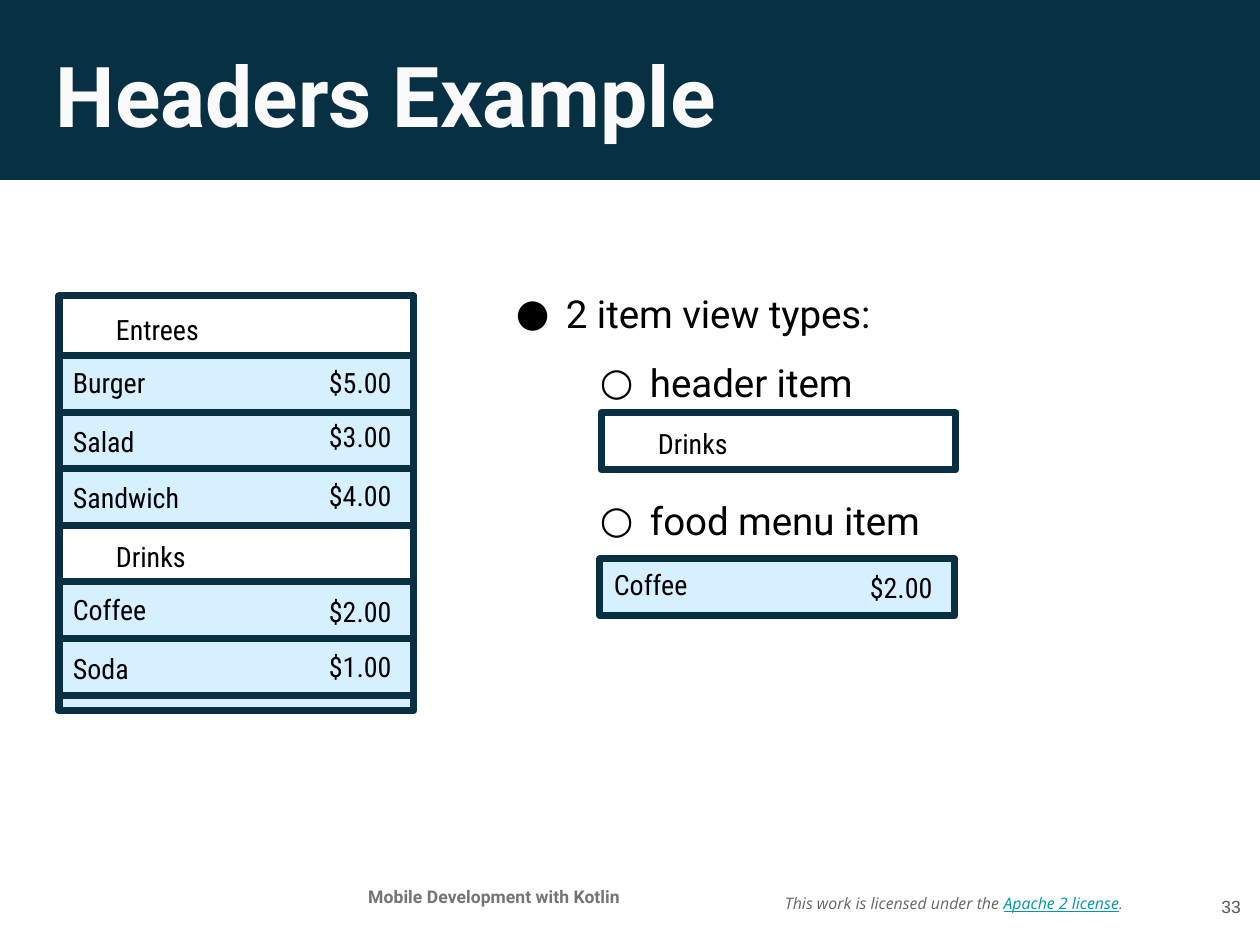
from dataclasses import dataclass
from typing import Any, Optional

import pptx
import pptx.dml.color
import pptx.enum.shapes
import pptx.enum.text
import pptx.oxml
import pptx.oxml.ns
import pptx.util

ALIGN = pptx.enum.text.PP_ALIGN
ANCHOR = pptx.enum.text.MSO_ANCHOR


@dataclass(frozen=True)
class Style:
    face: str
    size: float
    color: str
    bold: bool = False
    italic: bool = False
    underline: bool = False


@dataclass(frozen=True)
class Theme:
    banner: str = "073042"
    border: str = "083042"
    food: str = "D6F0FF"
    border_width: int = 3
    title: Style = Style("Roboto", 36, "FAFAFA", bold=True)
    body: Style = Style("Roboto", 16.5, "000000")
    menu: Style = Style("Roboto Condensed", 12, "000000")
    course: Style = Style("Roboto", 7.5, "757575", bold=True)
    number: Style = Style("Arial", 7.5, "595959")
    license: Style = Style("Open Sans", 6.8, "666666", italic=True)
    link: Style = Style("Open Sans", 6.8, "0097A7", italic=True, underline=True)
    stop: Style = Style("Roboto", 6.8, "666666", italic=True)


@dataclass(frozen=True)
class Area:
    left: int
    top: int
    width: int
    height: int


@dataclass(frozen=True)
class MenuRow:
    name: str
    price: str = ""
    name_shift: int = 0
    price_shift: int = 0


@dataclass(frozen=True)
class Bullet:
    text: str
    mark: str
    level: int
    space_before: float = 0


THEME = Theme()
INSET = 12
MENU_LEFT, MENU_TOP, MENU_WIDTH = 59, 296, 355
FIRST_FOOD_TOP, ROW_PITCH, ROW_HEIGHT = 356, 56.6, 57
MENU = [
    MenuRow("Burger", "$5.00", -2, -2),
    MenuRow("Salad", "$3.00", 0, -5),
    MenuRow("Sandwich", "$4.00", 0, -2),
    MenuRow("Drinks"),
    MenuRow("Coffee", "$2.00", -1, 1),
    MenuRow("Soda", "$1.00", 1, -1),
]
BULLETS = [
    Bullet("2 item view types:", "●", 0),
    Bullet("header item", "○", 1),
    Bullet("food menu item", "○", 1, 29.5),
]


def px(count: float) -> int:
    return round(count * 914400 / 168)


def rgb(color: str) -> pptx.dml.color.RGBColor:
    return pptx.dml.color.RGBColor.from_string(color)


def set_font(font: Any, style: Style) -> None:
    font.name = style.face
    font.size = pptx.util.Pt(style.size)
    font.color.rgb = rgb(style.color)
    font.bold = style.bold
    font.italic = style.italic
    font.underline = style.underline


def add_rectangle(page: Any, area: Area, fill: Optional[str], border: Optional[str]) -> None:
    shape = page.shapes.add_shape(
        pptx.enum.shapes.MSO_SHAPE.RECTANGLE,
        px(area.left), px(area.top), px(area.width), px(area.height))
    shape.shadow.inherit = False
    if fill:
        shape.fill.solid()
        shape.fill.fore_color.rgb = rgb(fill)
    else:
        shape.fill.background()
    if border:
        shape.line.color.rgb = rgb(border)
        shape.line.width = pptx.util.Pt(THEME.border_width)
        outline = shape._element.spPr.find(pptx.oxml.ns.qn("a:ln"))
        outline.append(pptx.oxml.parse_xml(f'<a:round {pptx.oxml.ns.nsdecls("a")}/>'))
    else:
        shape.line.fill.background()


def add_frame(page: Any, area: Area, anchor: Any = ANCHOR.TOP) -> Any:
    box = page.shapes.add_textbox(
        px(area.left), px(area.top), px(area.width), px(area.height))
    frame = box.text_frame
    frame.word_wrap = True
    frame.vertical_anchor = anchor
    frame.margin_left = frame.margin_right = px(INSET)
    frame.margin_top = frame.margin_bottom = px(INSET)
    return frame


def add_text(page: Any, area: Area, text: str, style: Style,
             align: Any = ALIGN.LEFT, anchor: Any = ANCHOR.TOP) -> None:
    para = add_frame(page, area, anchor).paragraphs[0]
    para.text = text
    para.alignment = align
    set_font(para.font, style)


def add_menu_row(page: Any, left: int, top: int, row: MenuRow, height: int = ROW_HEIGHT) -> None:
    fill = THEME.food if row.price else None
    add_rectangle(page, Area(left, top, MENU_WIDTH, height), fill, THEME.border)
    if row.price:
        add_text(page, Area(left + 2, top + row.name_shift, 193, 40), row.name, THEME.menu)
        add_text(page, Area(left + 258, top + row.price_shift, 97, 40), row.price, THEME.menu)
    else:
        add_text(page, Area(left + 45, top + height - 45, 336, 37), row.name, THEME.menu,
                 anchor=ANCHOR.MIDDLE)


def add_menu(page: Any) -> None:
    add_menu_row(page, MENU_LEFT, MENU_TOP, MenuRow("Entrees"), FIRST_FOOD_TOP - MENU_TOP)
    tops = [FIRST_FOOD_TOP + round(index * ROW_PITCH) for index in range(len(MENU) + 1)]
    for top, row in zip(tops, MENU):
        add_menu_row(page, MENU_LEFT, top, row)
    add_rectangle(page, Area(MENU_LEFT, tops[-1], MENU_WIDTH, 15), THEME.food, THEME.border)


def add_bullets(page: Any) -> None:
    frame = add_frame(page, Area(470, 255, 600, 440))
    for index, bullet in enumerate(BULLETS):
        para = frame.add_paragraph() if index else frame.paragraphs[0]
        para.text = bullet.text
        para.level = bullet.level
        para.line_spacing = 1.5
        if bullet.space_before:
            para.space_before = pptx.util.Pt(bullet.space_before)
        properties = para._p.get_or_add_pPr()
        properties.set("marL", str(px(84 * (bullet.level + 1))))
        properties.set("indent", str(px(-50)))
        names = pptx.oxml.ns.nsdecls("a")
        for element in (
            f'<a:buClr {names}><a:srgbClr val="{THEME.body.color}"/></a:buClr>',
            f'<a:buFont {names} typeface="{THEME.body.face}"/>',
            f'<a:buChar {names} char="{bullet.mark}"/>',
        ):
            properties.append(pptx.oxml.parse_xml(element))
        set_font(para.font, THEME.body)


def add_footer(page: Any) -> None:
    para = add_frame(page, Area(773, 864, 370, 79), ANCHOR.MIDDLE).paragraphs[0]
    for text, style in (
        ("This work is licensed under the ", THEME.license),
        ("Apache 2 license", THEME.link),
        (".", THEME.stop),
    ):
        span = para.add_run()
        span.text = text
        set_font(span.font, style)
    add_text(page, Area(316, 875, 356, 54), "Mobile Development with Kotlin",
             THEME.course, ALIGN.CENTER)
    add_text(page, Area(1178, 870, 75, 72), "33", THEME.number, ALIGN.RIGHT, ANCHOR.MIDDLE)


def main() -> None:
    deck = pptx.Presentation()
    deck.slide_width, deck.slide_height = px(1260), px(945)
    page = deck.slides.add_slide(deck.slide_layouts[6])
    add_rectangle(page, Area(0, 0, 1260, 180), THEME.banner, None)
    add_text(page, Area(44, 32, 1174, 106), "Headers Example", THEME.title)
    add_footer(page)
    add_bullets(page)
    add_menu(page)
    add_menu_row(page, 601, 413, MenuRow("Drinks"))
    add_menu_row(page, 600, 559, MenuRow("Coffee", "$2.00", -3, 0))
    deck.save("out.pptx")


if __name__ == "__main__":
    main()
